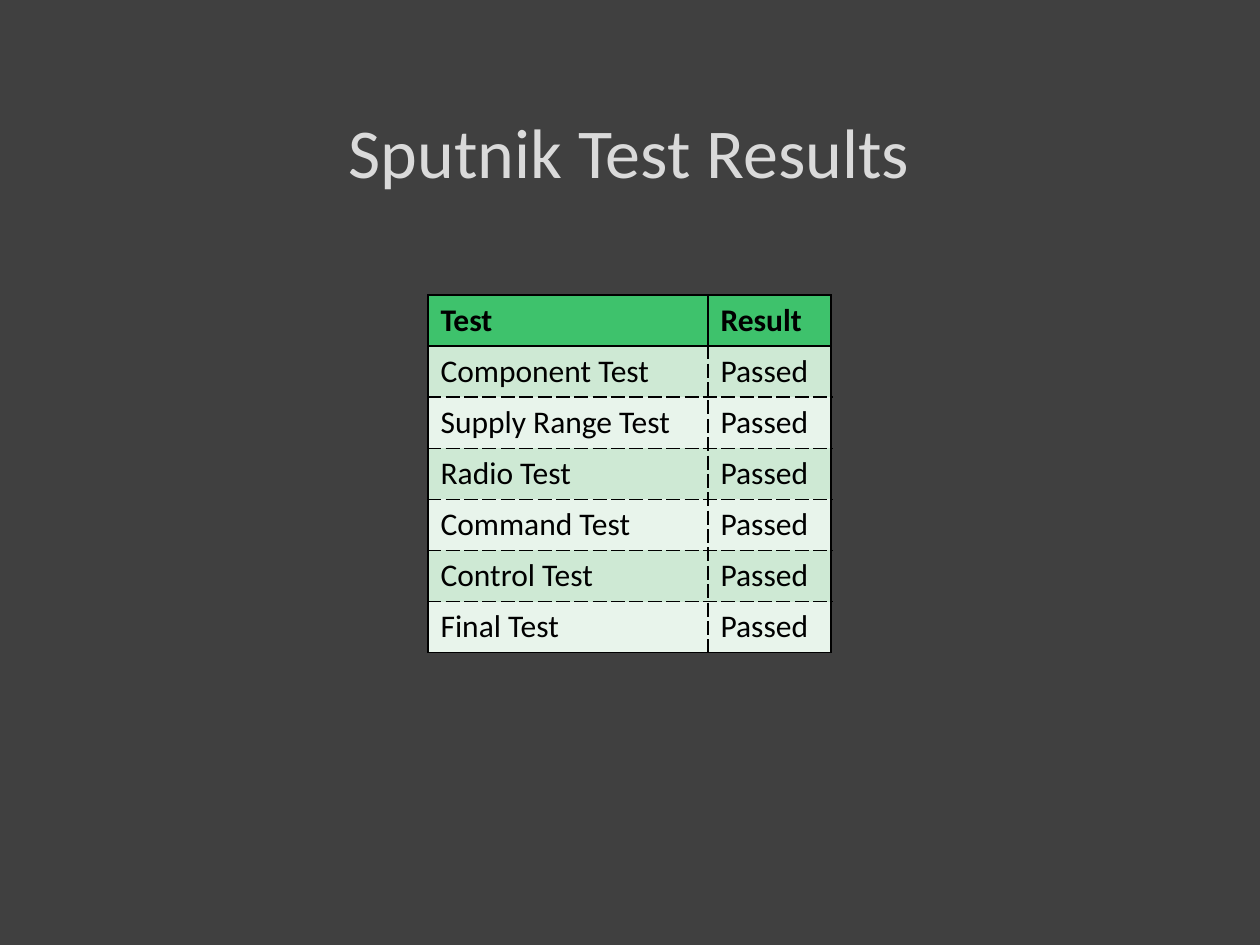
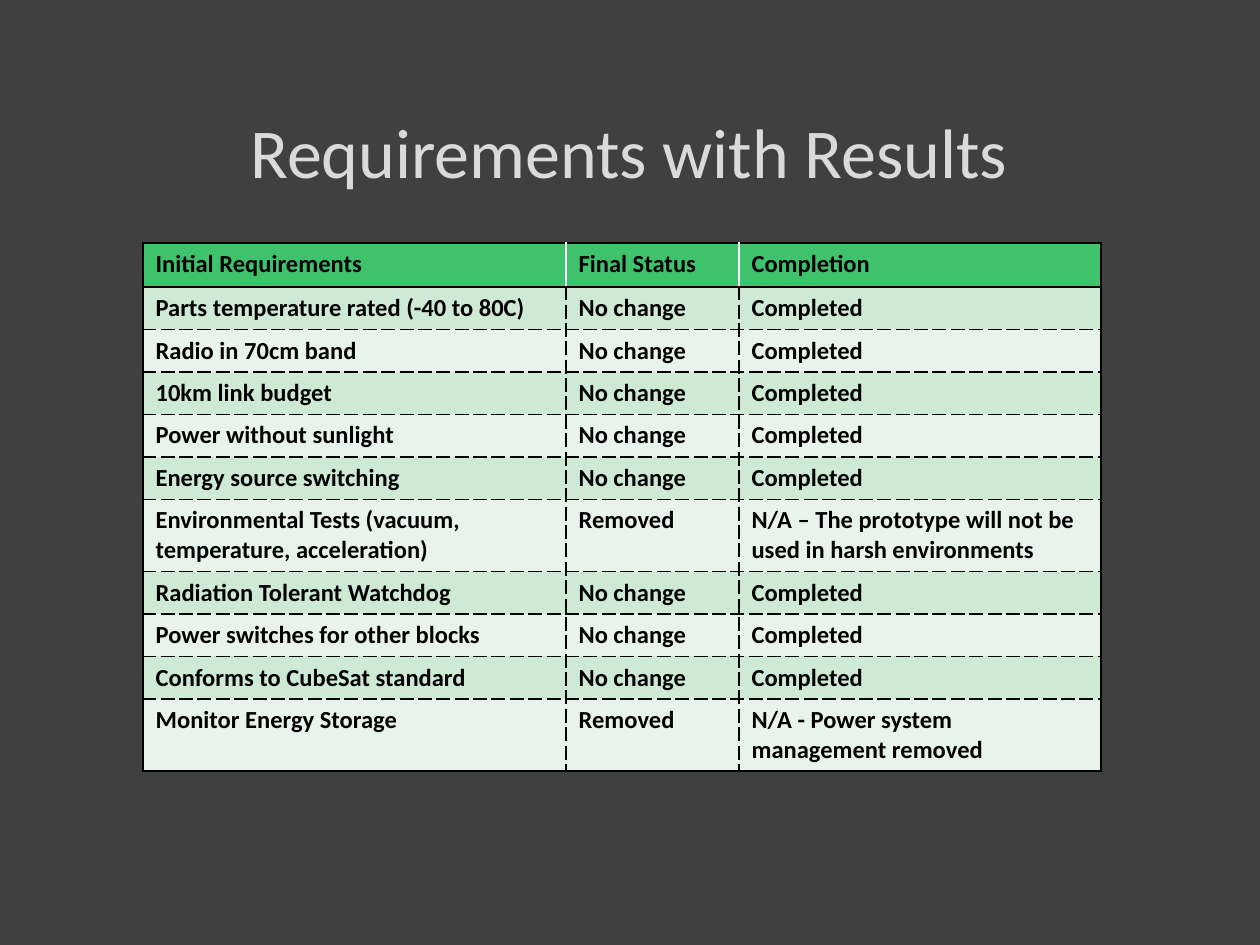
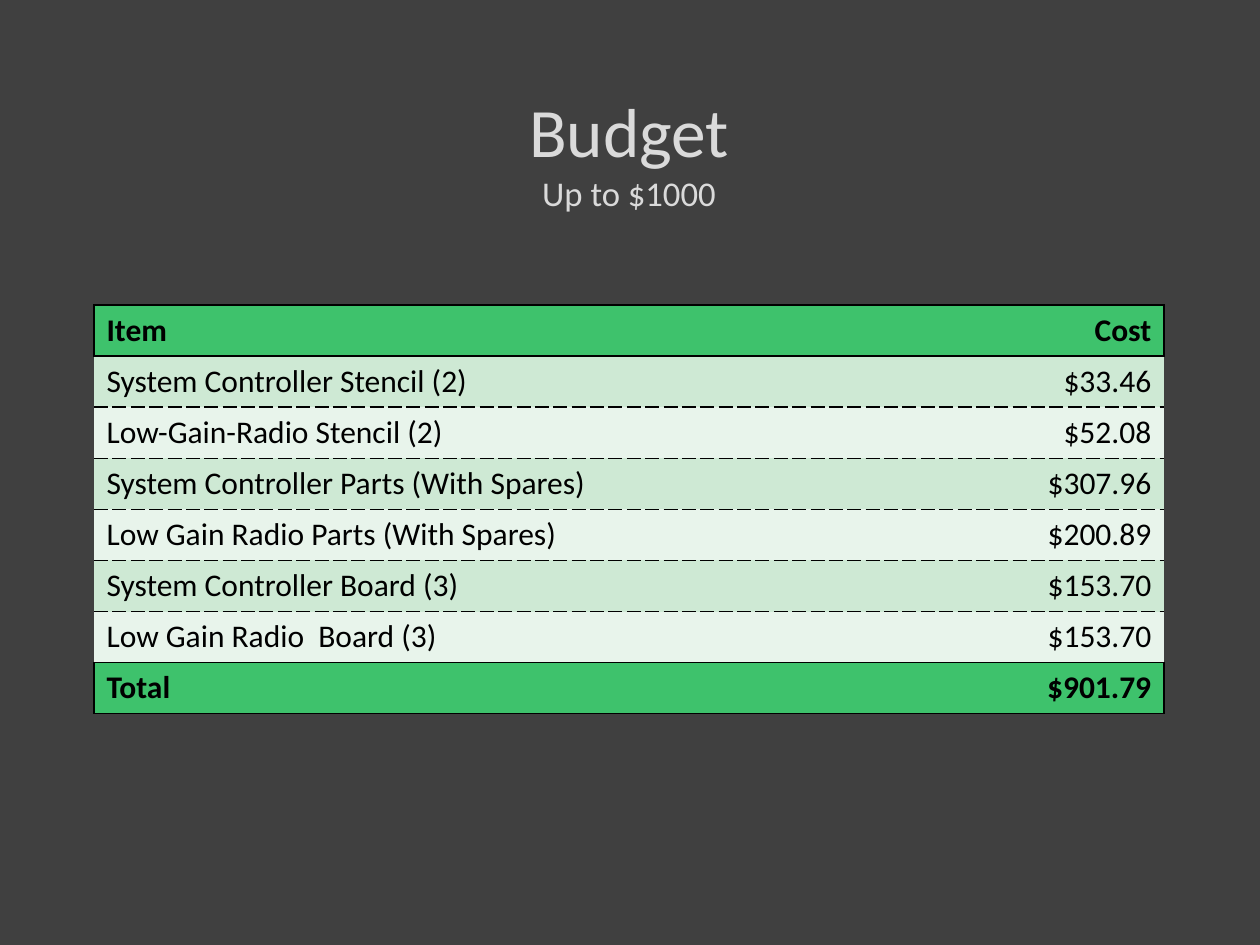
import copy

import lxml.etree
import pptx
import pptx.dml.color
import pptx.enum.text
import pptx.oxml
import pptx.oxml.ns
import pptx.util

FONT = "Calibri"
DARK, PALE, INK, WHITE = "404040", "DADADA", "000000", "FFFFFF"
GREEN, MINT, FROST = "3EC26C", "CEE9D4", "E8F4EB"
TITLE_BOX = (94, 84, 1070, 134)
NS = pptx.oxml.ns.nsdecls("a")
ALIGN = pptx.enum.text.PP_ALIGN

OUTLINE = f"""<a:ln {NS} w="9525"><a:solidFill><a:srgbClr val="{DARK}">
<a:alpha val="10000"/></a:srgbClr></a:solidFill></a:ln>"""
SHADOW = f"""<a:effectLst {NS}><a:outerShdw blurRad="38100" dist="25400" dir="2700000">
<a:srgbClr val="{INK}"><a:alpha val="60000"/></a:srgbClr></a:outerShdw></a:effectLst>"""

TESTS = [("Test", "Result")] + [
    (name + " Test", "Passed")
    for name in ("Component", "Supply Range", "Radio", "Command", "Control", "Final")
]
DONE = ("No change", "Completed")
NEEDS = [
    ("Initial Requirements", "Final Status", "Completion"),
    ("Parts temperature rated (-40 to 80C)", *DONE),
    ("Radio in 70cm band", *DONE),
    ("10km link budget", *DONE),
    ("Power without sunlight", *DONE),
    ("Energy source switching", *DONE),
    ("Environmental Tests (vacuum, temperature, acceleration)", "Removed",
     "N/A – The prototype will not be used in harsh environments"),
    ("Radiation Tolerant Watchdog", *DONE),
    ("Power switches for other blocks", *DONE),
    ("Conforms to CubeSat standard", *DONE),
    ("Monitor Energy Storage", "Removed", "N/A - Power system management removed"),
]
COSTS = [
    ("Item", "Cost"),
    ("System Controller Stencil (2)", "$33.46"),
    ("Low-Gain-Radio Stencil (2)", "$52.08"),
    ("System Controller Parts (With Spares)", "$307.96"),
    ("Low Gain Radio Parts (With Spares)", "$200.89"),
    ("System Controller Board (3)", "$153.70"),
    ("Low Gain Radio  Board (3)", "$153.70"),
    ("Total", "$901.79"),
]


def px(count):
    return pptx.util.Emu(round(count * 914400 / 126))


def color(code):
    return pptx.dml.color.RGBColor.from_string(code)


def add_run(para, text, size, ink, bold=False):
    run = para.add_run()
    run.text = text
    font = run.font
    font.name, font.size, font.bold = FONT, pptx.util.Pt(size), bold
    font.color.rgb = color(ink)
    return run


def add_title(deck, *lines):
    """Add a slide whose title holds the given (text, size) lines."""
    slide = deck.slides.add_slide(deck.slide_layouts[5])
    title = slide.shapes.title
    title.left, title.top, title.width, title.height = map(px, TITLE_BOX)
    frame = title.text_frame
    frame.word_wrap = True
    frame.auto_size = pptx.enum.text.MSO_AUTO_SIZE.NONE
    frame.vertical_anchor = pptx.enum.text.MSO_ANCHOR.MIDDLE
    para = frame.paragraphs[0]
    para.alignment = ALIGN.CENTER
    props = None
    for text, size in lines:
        if props is not None:
            para.add_line_break()
            para._p[-1].append(copy.deepcopy(props))
        props = add_run(para, text, size, PALE)._r.rPr
        props.insert(0, pptx.oxml.parse_xml(OUTLINE))
        props.insert(2, pptx.oxml.parse_xml(SHADOW))
    return slide


def add_edge(cell, side, line):
    """Draw one cell border from (colour, dash), or none at all."""
    qn = pptx.oxml.ns.qn
    edge = lxml.etree.SubElement(cell._tc.get_or_add_tcPr(), qn("a:ln" + side), w="12700")
    if line is None:
        lxml.etree.SubElement(edge, qn("a:noFill"))
        return
    ink, dash = line
    fill = lxml.etree.SubElement(edge, qn("a:solidFill"))
    lxml.etree.SubElement(fill, qn("a:srgbClr"), val=ink)
    lxml.etree.SubElement(edge, qn("a:prstDash"), val=dash)


def add_grid(slide, left, top, cols, high, data, size, split=INK, bold=False,
             total=False, ledger=False):
    """Add a banded table; a ledger has no upright lines and right-aligned sums."""
    count, wide = len(data), len(cols)
    table = slide.shapes.add_table(
        count, wide, px(left), px(top), px(sum(cols)), px(sum(high))).table
    table.horz_banding = False
    for col, width in zip(table.columns, cols):
        col.width = px(width)
    for row, height in zip(table.rows, high):
        row.height = px(height)

    solid, dashed = (INK, "solid"), (INK, "sysDash")
    firm = {0, 1, count} | ({count - 1} if total else set())

    def across(at):
        return solid if at in firm else dashed

    def upright(at, strong, head):
        if at in (0, wide):
            return solid if strong or not ledger else None
        if ledger:
            return None
        return (split, "solid") if head else dashed

    for r, texts in enumerate(data):
        head = r == 0
        strong = head or (total and r == count - 1)
        for c, text in enumerate(texts):
            cell = table.cell(r, c)
            add_edge(cell, "L", upright(c, strong, head))
            add_edge(cell, "R", upright(c + 1, strong, head))
            add_edge(cell, "T", across(r))
            add_edge(cell, "B", across(r + 1))
            cell.fill.solid()
            cell.fill.fore_color.rgb = color(GREEN if strong else MINT if r % 2 else FROST)
            para = cell.text_frame.paragraphs[0]
            para.alignment = ALIGN.RIGHT if ledger and c else ALIGN.LEFT
            add_run(para, text, size, INK, bold or strong)


def main():
    deck = pptx.Presentation()
    deck.slide_width, deck.slide_height = px(1260), px(945)
    back = deck.slide_master.background.fill
    back.solid()
    back.fore_color.rgb = color(DARK)

    slide = add_title(deck, ("Sputnik Test Results", 40))
    add_grid(slide, 428, 295, (280, 123), [51] * len(TESTS), TESTS, 18)

    slide = add_title(deck, ("Requirements with Results", 40))
    high = [44] + [72 if row[1] == "Removed" else 42 for row in NEEDS[1:]]
    add_grid(slide, 143, 243, (423, 173, 362), high, NEEDS, 14, split=WHITE, bold=True)

    slide = add_title(deck, ("Budget", 39.6), ("Up to $1000", 19.8))
    add_grid(slide, 94, 305, (535, 535), [51] * len(COSTS), COSTS, 18,
             total=True, ledger=True)
    deck.save("out.pptx")


if __name__ == "__main__":
    main()
